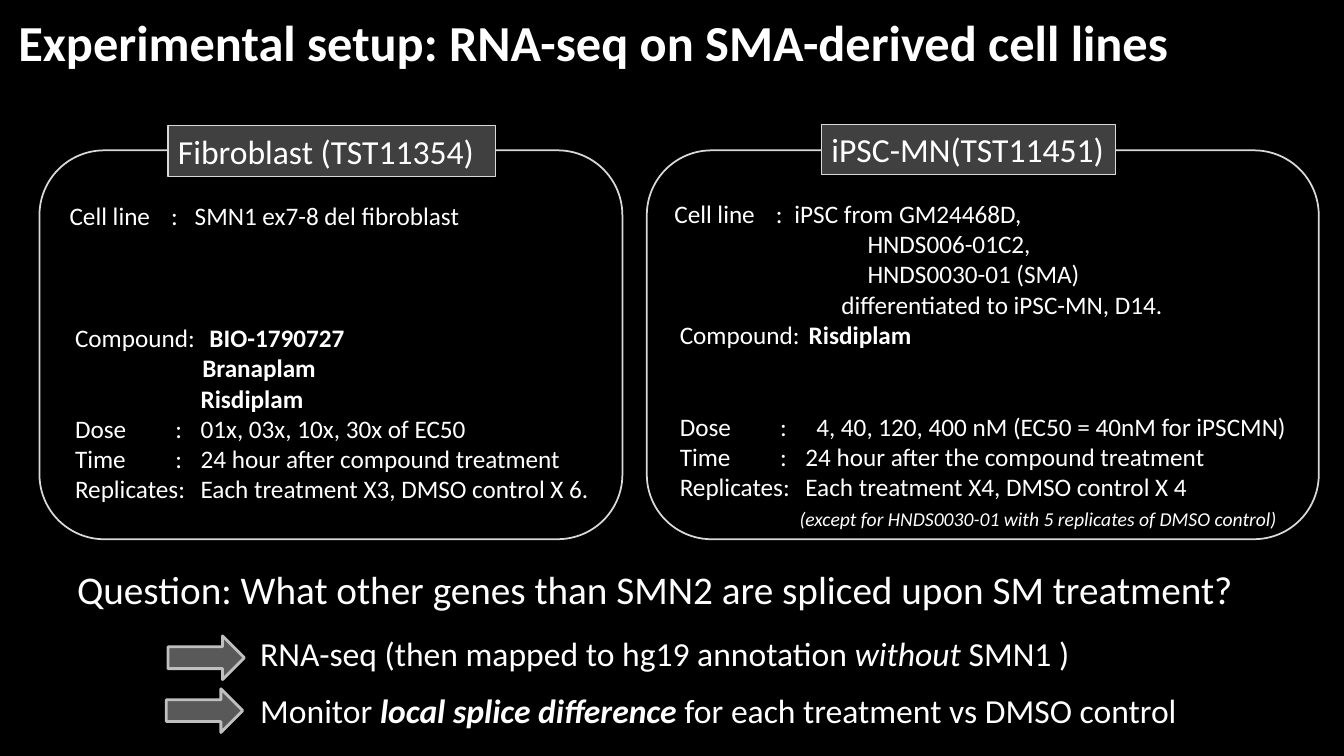
import pptx
import pptx.util
import pptx.dml.color
import pptx.enum.shapes
import pptx.enum.text
from lxml import etree

THEME = {
    "back": "000000", "text": "FFFFFF", "edge": "D9D9D9", "tag": "404040",
    "arrow": "595959", "rim": "BFBFBF", "font": "Calibri",
    "title": 36, "ask": 28, "head": 24, "body": 18, "note": 14, "line": 22,
}
COLS, ROWS = 160, 90
KINDS = pptx.enum.shapes.MSO_SHAPE
Pt = pptx.util.Pt

deck = pptx.Presentation()
deck.slide_width = pptx.util.Inches(13.33)
deck.slide_height = pptx.util.Inches(7.5)
slide = deck.slides.add_slide(deck.slide_layouts[6])
unit = deck.slide_width / COLS
tall = deck.slide_height / ROWS


def tint(name):
    return pptx.dml.color.RGBColor.from_string(THEME[name])


def put(spot, lines=(), size="body", kind=None, fill=None, edge="edge", width=1):
    """Add a text box or shape at a grid spot; a line is (blank rows above, cells),
    a cell is (tab column or 0, text, style letters: b, i, n for note size)."""
    x, y, w, h = spot
    area = [round(v) for v in (x * unit, y * tall, w * unit, h * tall)]
    if kind is None:
        box = slide.shapes.add_textbox(*area)
    else:
        box = slide.shapes.add_shape(kind, *area)
        box.shadow.inherit = False
        box.line.color.rgb = tint(edge)
        box.line.width = Pt(width)
        if fill:
            box.fill.solid()
            box.fill.fore_color.rgb = tint(fill)
        else:
            box.fill.background()
    frame = box.text_frame
    frame.word_wrap = True
    frame.margin_right = 0
    frame.vertical_anchor = pptx.enum.text.MSO_ANCHOR.TOP
    for n, (gap, cells) in enumerate(lines):
        para = frame.add_paragraph() if n else frame.paragraphs[0]
        para.alignment = pptx.enum.text.PP_ALIGN.LEFT
        stops = [col for col, _, _ in cells if col]
        if stops:
            props = para._p.get_or_add_pPr()
            tabs = etree.SubElement(props, pptx.oxml.ns.qn("a:tabLst"))
            for col in stops:
                etree.SubElement(tabs, pptx.oxml.ns.qn("a:tab"),
                                 pos=str(round(col * unit)), algn="l")
        if gap:
            para.space_before = Pt(gap * THEME["line"])
        for col, text, style in cells:
            run = para.add_run()
            run.text = ("\t" if col else "") + text
            run.font.name = THEME["font"]
            run.font.size = Pt(THEME["note" if "n" in style else size])
            run.font.color.rgb = tint("text")
            run.font.bold = "b" in style
            run.font.italic = "i" in style


slide.background.fill.solid()
slide.background.fill.fore_color.rgb = tint("back")

put((1, 0.75, 140, 8.5),
    [(0, [(0, "Experimental setup: RNA-seq on SMA-derived cell lines", "b")])], "title")

# Tab columns: first label, other labels, first colon, other colons, values
TOP, LABEL, MARK, COLON, VALUE = 4.1, 4.75, 16.2, 16.7, 19.7

fibro = [
    (0, [(TOP, "Cell line", ""), (MARK, ":", ""), (19, "SMN1 ex7-8 del fibroblast", "")]),
    (3, [(LABEL, "Compound:", ""), (20.75, "BIO-1790727", "b")]),
    (0, [(19.9, "Branaplam", "b")]),
    (0, [(VALUE, "Risdiplam", "b")]),
    (0, [(LABEL, "Dose", ""), (COLON, ":", ""), (VALUE, "01x, 03x, 10x, 30x of EC50", "")]),
    (0, [(LABEL, "Time", ""), (COLON, ":", ""),
         (VALUE, "24 hour after compound treatment", "")]),
    (0, [(LABEL, "Replicates:", ""), (VALUE, "Each treatment X3, DMSO control X 6.", "")]),
]
neuron = [
    (0, [(TOP, "Cell line", ""), (MARK, ":", ""), (18.4, "iPSC from GM24468D,", "")]),
    (0, [(27.1, "HNDS006-01C2,", "")]),
    (0, [(27.1, "HNDS0030-01 (SMA)", "")]),
    (0, [(24, "differentiated to iPSC-MN, D14.", "")]),
    (0, [(LABEL, "Compound:", ""), (20.1, "Risdiplam", "b")]),
    (2, [(LABEL, "Dose", ""), (COLON, ":", ""),
         (21, "4, 40, 120, 400 nM (EC50 = 40nM for iPSCMN)", "")]),
    (0, [(LABEL, "Time", ""), (COLON, ":", ""),
         (VALUE, "24 hour after the compound treatment", "")]),
    (0, [(LABEL, "Replicates:", ""), (VALUE, "Each treatment X4, DMSO control X 4", "")]),
    (0.18, [(19, "(except for HNDS0030-01 with 5 replicates of DMSO control)", "in")]),
]
panels = [
    ((4.7, 17.9, 69.4, 46.3), (20, 15, 39, 6), "Fibroblast (TST11354)",
     (3, 23.2, 74, 37.5), fibro),
    ((77, 17.9, 80, 46.3), (97.8, 14.8, 35, 6), "iPSC-MN(TST11451)",
     (75, 23, 80.6, 41.2), neuron),
]
for frame, tag, name, area, lines in panels:
    put(frame, kind=KINDS.ROUNDED_RECTANGLE, width=1.25)
    put(tag, [(0, [(0, name, "")])], "head", KINDS.RECTANGLE, "tag", width=0.75)
    put(area, lines)

put((8, 66.7, 150, 6.8),
    [(0, [(0, "Question: What other genes than SMN2 are spliced upon SM treatment?", "")])],
    "ask")

steps = [
    (20, 75.7, 74.8, [(0, "RNA-seq (then mapped to hg19 annotation ", ""),
                      (0, "without", "i"), (0, " SMN1 )", "")]),
    (19.8, 82, 81.6, [(0, "Monitor ", ""), (0, "local splice difference", "bi"),
                      (0, " for each treatment vs DMSO control", "")]),
]
for left, top, row, cells in steps:
    put((left, top, 9.1, 5.2), kind=KINDS.RIGHT_ARROW, fill="arrow", edge="rim", width=2)
    put((29.8, row, 115, 6), [(0, cells)], "head")

deck.save("out.pptx")
